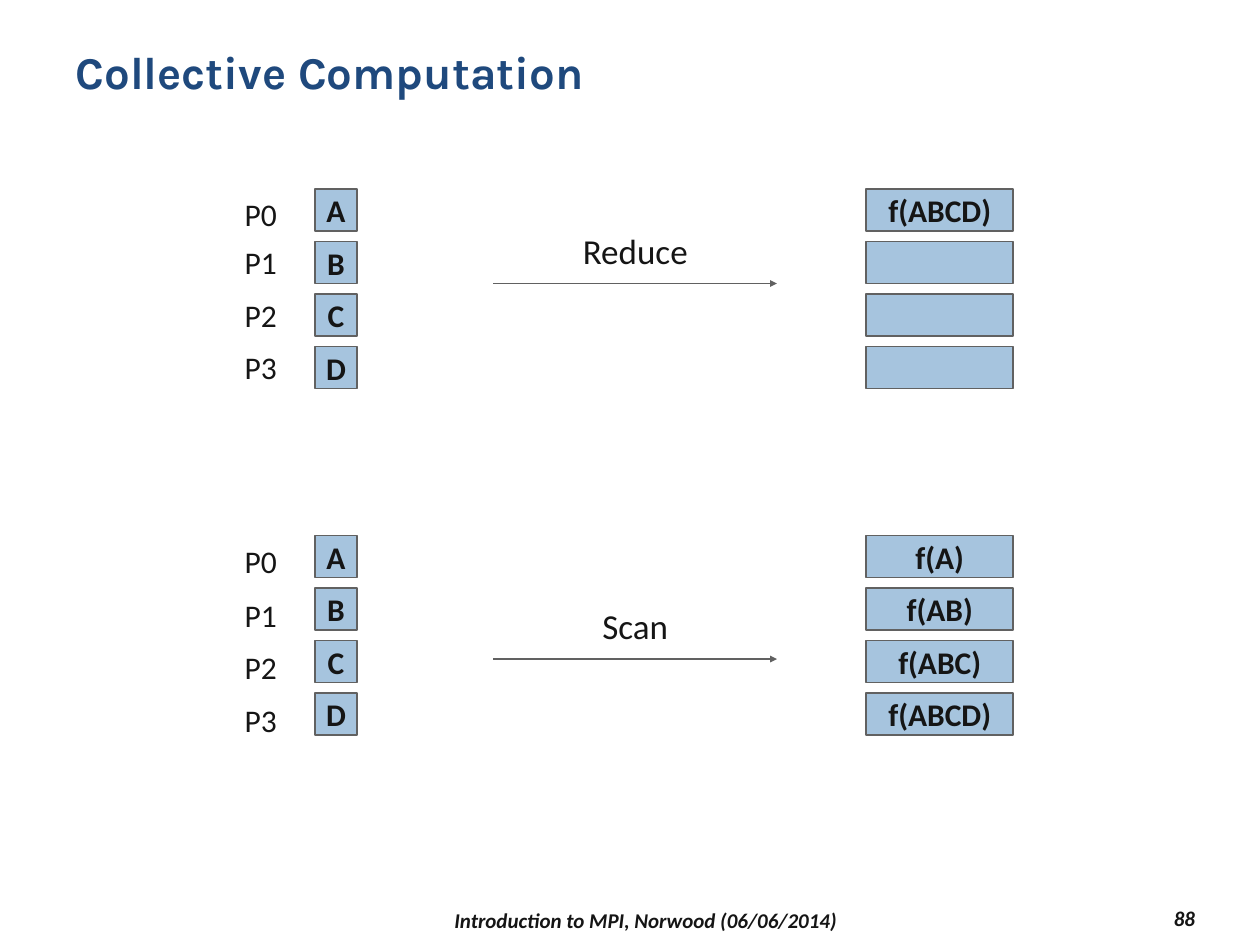
from lxml import etree
from pptx import Presentation
from pptx.dml.color import RGBColor
from pptx.enum.shapes import MSO_CONNECTOR, MSO_SHAPE
from pptx.enum.text import MSO_ANCHOR, MSO_AUTO_SIZE, PP_ALIGN
from pptx.oxml.ns import qn
from pptx.util import Pt

RECTANGLE = MSO_SHAPE.RECTANGLE
STRAIGHT = MSO_CONNECTOR.STRAIGHT
TOP, MIDDLE = MSO_ANCHOR.TOP, MSO_ANCHOR.MIDDLE
LEFT, CENTER, RIGHT = PP_ALIGN.LEFT, PP_ALIGN.CENTER, PP_ALIGN.RIGHT
NO_FIT, FIT_SHAPE = MSO_AUTO_SIZE.NONE, MSO_AUTO_SIZE.SHAPE_TO_FIT_TEXT

NAVY = RGBColor(0x1F, 0x49, 0x7D)
INK = RGBColor(0x15, 0x15, 0x15)
BLUE = RGBColor(0xA6, 0xC4, 0xDE)
GRAY = RGBColor(0x61, 0x61, 0x61)

INPUTS = ["A", "B", "C", "D"]
ROW_PITCH = 30
CELL_HEIGHT = 24


def write(shape, text, size, color=INK, name="Calibri", bold=False,
          italic=False, alignment=CENTER, anchor=TOP, wrap=False):
    frame = shape.text_frame
    frame.text = text
    frame.word_wrap = wrap
    frame.vertical_anchor = anchor
    paragraph = frame.paragraphs[0]
    paragraph.alignment = alignment
    font = paragraph.runs[0].font
    font.name = name
    font.size = Pt(size)
    font.bold = bold
    font.italic = italic
    font.color.rgb = color


def add_label(slide, left, top, width, height, text, size):
    label = slide.shapes.add_textbox(Pt(left), Pt(top), Pt(width), Pt(height))
    write(label, text, size)
    frame = label.text_frame
    frame.margin_left = frame.margin_right = 0
    frame.auto_size = FIT_SHAPE


def add_cell(slide, left, top, width, text):
    cell = slide.shapes.add_shape(
        RECTANGLE, Pt(left), Pt(top), Pt(width), Pt(CELL_HEIGHT))
    cell.shadow.inherit = False
    cell.fill.solid()
    cell.fill.fore_color.rgb = BLUE
    cell.line.color.rgb = GRAY
    cell.line.width = Pt(1)
    if text:
        write(cell, text, 18, bold=True, anchor=MIDDLE)
        frame = cell.text_frame
        frame.margin_left = frame.margin_right = 0
        frame.margin_top = frame.margin_bottom = 0


def add_arrow(slide, left, top, width):
    arrow = slide.shapes.add_connector(
        STRAIGHT, Pt(left), Pt(top), Pt(left + width), Pt(top))
    arrow.line.color.rgb = GRAY
    arrow.line.width = Pt(1)
    line = arrow.line._get_or_add_ln()
    etree.SubElement(line, qn("a:tailEnd"), type="triangle", w="sm", len="sm")
    etree.SubElement(arrow._element.spPr, qn("a:effectLst"))


def add_operation(slide, left, top, name, name_width, results,
                  arrow_offset, label_shift):
    for row, (value, result) in enumerate(zip(INPUTS, results)):
        row_top = top + row * ROW_PITCH
        label_top = row_top + (label_shift if row else 0)
        add_label(slide, left, label_top, 34, 29, f"P{row}", 18)
        add_cell(slide, left + 48, row_top, 24, value)
        add_cell(slide, left + 363, row_top, 84, result)
    arrow_left, arrow_width = left + 150, 162
    arrow_top = top + arrow_offset
    add_arrow(slide, arrow_left, arrow_top, arrow_width)
    name_left = arrow_left + (arrow_width - name_width) / 2
    add_label(slide, name_left, arrow_top - 34.6, name_width, 31, name, 20)


def add_title(slide, left, top, width, height):
    title = slide.shapes.title
    title.left, title.top = Pt(left), Pt(top)
    title.width, title.height = Pt(width), Pt(height)
    write(title, "Collective Computation", 26, NAVY, "Karla", bold=True,
          alignment=LEFT, wrap=True)
    title.text_frame.auto_size = NO_FIT


def add_footer(slide, left, top, width, height):
    parts = [
        ("Introduction to MPI, Norwood (06/06/2014)", 0, 1.5, 426, CENTER),
        ("88", width - 78, 0, 78, RIGHT),
    ]
    for text, offset_x, offset_y, part_width, alignment in parts:
        box = slide.shapes.add_textbox(
            Pt(left + offset_x), Pt(top + offset_y), Pt(part_width), Pt(height))
        write(box, text, 12, bold=True, italic=True, alignment=alignment,
              anchor=MIDDLE, wrap=True)


def main():
    presentation = Presentation()
    presentation.slide_width, presentation.slide_height = Pt(720), Pt(540)
    slide = presentation.slides.add_slide(presentation.slide_layouts[5])
    add_title(slide, 36, 21.6, 648, 62.6)
    add_operation(slide, 132, 108, "Reduce", 74, ["f(ABCD)", "", "", ""],
                  arrow_offset=54, label_shift=-2.5)
    add_operation(slide, 132, 306, "Scan", 53,
                  ["f(A)", "f(AB)", "f(ABC)", "f(ABCD)"],
                  arrow_offset=70.6, label_shift=1)
    add_footer(slide, 156, 514.8, 534, 19.5)
    presentation.save("out.pptx")


if __name__ == "__main__":
    main()
